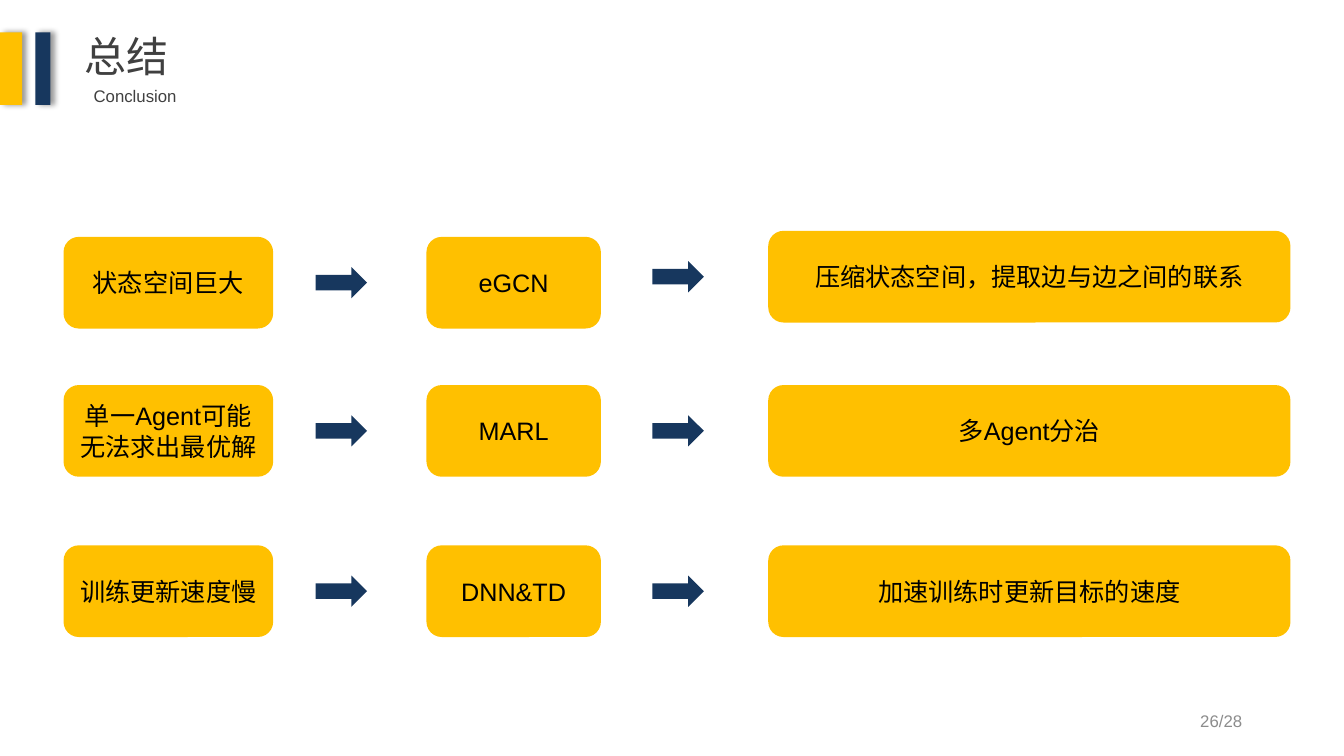
from lxml.etree import SubElement
from pptx import Presentation
from pptx.dml.color import RGBColor
from pptx.enum.shapes import MSO_SHAPE
from pptx.enum.text import MSO_ANCHOR, MSO_AUTO_SIZE, PP_ALIGN
from pptx.oxml.ns import qn
from pptx.util import Inches, Pt

AMBER = "FFC000"
NAVY = "17375E"
DARK_GREY = "404040"
PAGE_GREY = "8C8C8C"
BLACK = "000000"

# Horizontal positions and widths are percentages of the slide width,
# vertical positions and heights are percentages of the slide height.
BOX_COLUMNS = [(4.73, 15.6), (31.73, 12.98), (57.16, 38.86)]
ARROW_LEFTS = [23.48, 48.54]
ROW_TOPS = [31.33, 50.93, 72.13]
BOX_HEIGHT = 12.13
ARROW_WIDTH, ARROW_HEIGHT = 3.83, 4.13
FIRST_RESULT_LIFT = 0.8

CONCLUSIONS = [
    ("状态空间巨大", "eGCN", "压缩状态空间，提取边与边之间的联系"),
    ("单一Agent可能无法求出最优解", "MARL", "多Agent分治"),
    ("训练更新速度慢", "DNN&TD", "加速训练时更新目标的速度"),
]


def color(hex_string):
    return RGBColor.from_string(hex_string)


class SlideBuilder:
    latin_font = "Arial"
    chinese_font = "Noto Sans CJK SC"

    def __init__(self, presentation):
        self.width = presentation.slide_width
        self.height = presentation.slide_height
        self.slide = presentation.slides.add_slide(presentation.slide_layouts[5])

    def area(self, left, top, width, height):
        """Turn percentages of the slide into lengths."""
        return (
            round(self.width * left / 100),
            round(self.height * top / 100),
            round(self.width * width / 100),
            round(self.height * height / 100),
        )

    def add_text(self, shape, text, size, text_color, align, anchor, font=None, wrap=True):
        frame = shape.text_frame
        frame.word_wrap = wrap
        frame.auto_size = MSO_AUTO_SIZE.NONE
        frame.vertical_anchor = anchor
        paragraph = frame.paragraphs[0]
        paragraph.alignment = align
        run = paragraph.add_run()
        run.text = text
        run.font.size = Pt(size)
        run.font.name = font or self.latin_font
        run.font.color.rgb = color(text_color)
        east_asian = SubElement(run.font._element, qn("a:ea"))
        east_asian.set("typeface", self.chinese_font)

    def title(self, text, *place):
        shape = self.slide.shapes.title
        shape.left, shape.top, shape.width, shape.height = self.area(*place)
        self.add_text(shape, text, 30, DARK_GREY, PP_ALIGN.LEFT, MSO_ANCHOR.TOP,
                      font=self.chinese_font, wrap=False)

    def label(self, text, text_color, align, anchor, *place):
        shape = self.slide.shapes.add_textbox(*self.area(*place))
        self.add_text(shape, text, 12, text_color, align, anchor)

    def block(self, kind, fill, *place):
        shape = self.slide.shapes.add_shape(kind, *self.area(*place))
        shape.shadow.inherit = False
        shape.fill.solid()
        shape.fill.fore_color.rgb = color(fill)
        shape.line.fill.background()
        return shape

    def accent_bar(self, fill, left, width):
        """Add a header bar with a soft shadow to its right."""
        shape = self.block(MSO_SHAPE.RECTANGLE, fill, left, 4.27, width, 9.6)
        effects = shape._element.spPr.find(qn("a:effectLst"))
        shadow = SubElement(effects, qn("a:outerShdw"), blurRad=str(int(Pt(4))),
                            dist=str(int(Pt(3))), dir="0", algn="l", rotWithShape="0")
        shadow_color = SubElement(shadow, qn("a:srgbClr"), val=BLACK)
        SubElement(shadow_color, qn("a:alpha"), val="40000")

    def box(self, text, left, top, width):
        shape = self.block(MSO_SHAPE.ROUNDED_RECTANGLE, AMBER, left, top, width, BOX_HEIGHT)
        self.add_text(shape, text, 18, BLACK, PP_ALIGN.CENTER, MSO_ANCHOR.MIDDLE)

    def arrow(self, left, row_top):
        top = row_top + (BOX_HEIGHT - ARROW_HEIGHT) / 2
        self.block(MSO_SHAPE.RIGHT_ARROW, NAVY, left, top, ARROW_WIDTH, ARROW_HEIGHT)


def main():
    presentation = Presentation()
    presentation.slide_width = Inches(13.33)
    presentation.slide_height = Inches(7.5)
    builder = SlideBuilder(presentation)

    builder.title("总结", 5.55, 3.33, 7.8, 8.13)
    builder.label("Conclusion", DARK_GREY, PP_ALIGN.LEFT, MSO_ANCHOR.TOP,
                  6.23, 10.67, 35.78, 4)
    builder.accent_bar(AMBER, 0, 1.65)
    builder.accent_bar(NAVY, 2.63, 1.13)

    for row, (top, texts) in enumerate(zip(ROW_TOPS, CONCLUSIONS)):
        result_top = top - FIRST_RESULT_LIFT if row == 0 else top
        tops = [top, top, result_top]
        for text, (left, width), box_top in zip(texts, BOX_COLUMNS, tops):
            builder.box(text, left, box_top, width)
        for left, arrow_top in zip(ARROW_LEFTS, tops[1:]):
            builder.arrow(left, arrow_top)

    builder.label("26/28", PAGE_GREY, PP_ALIGN.RIGHT, MSO_ANCHOR.MIDDLE,
                  70.67, 92.67, 22.5, 5.33)
    presentation.save("out.pptx")


if __name__ == "__main__":
    main()
